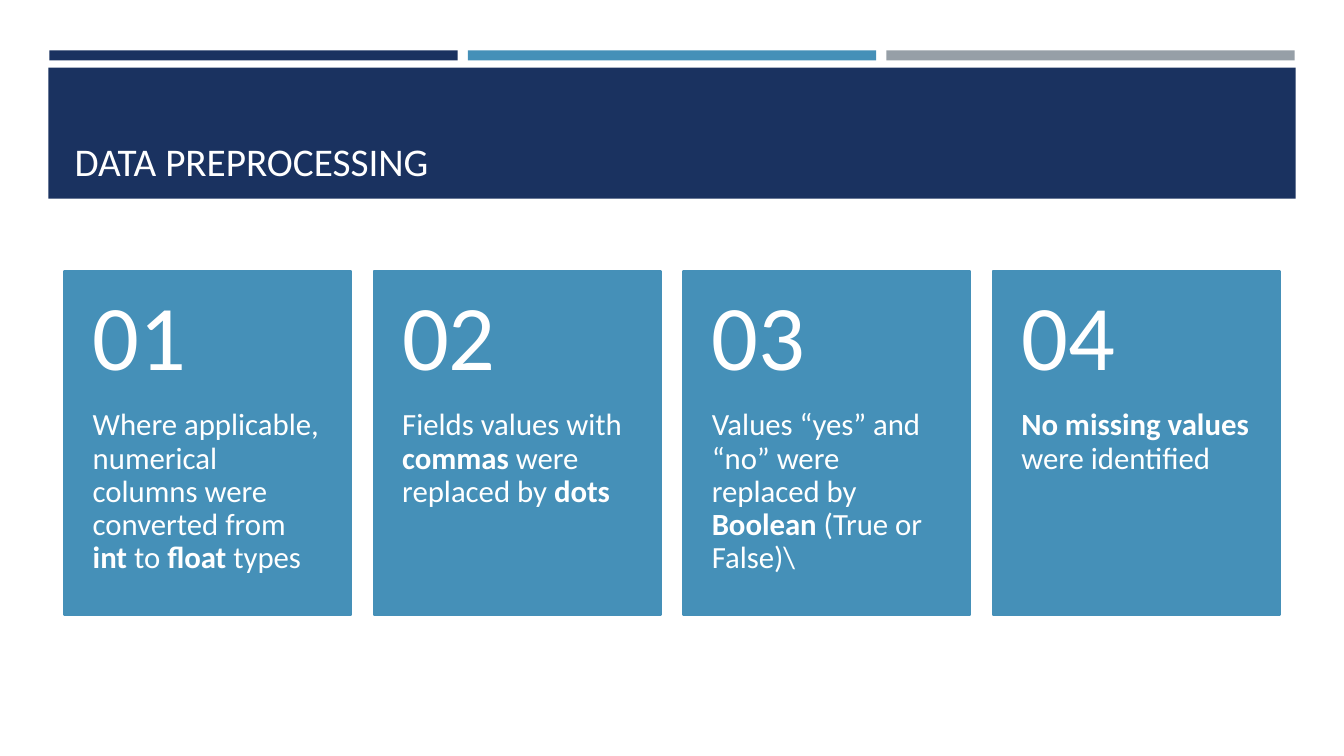
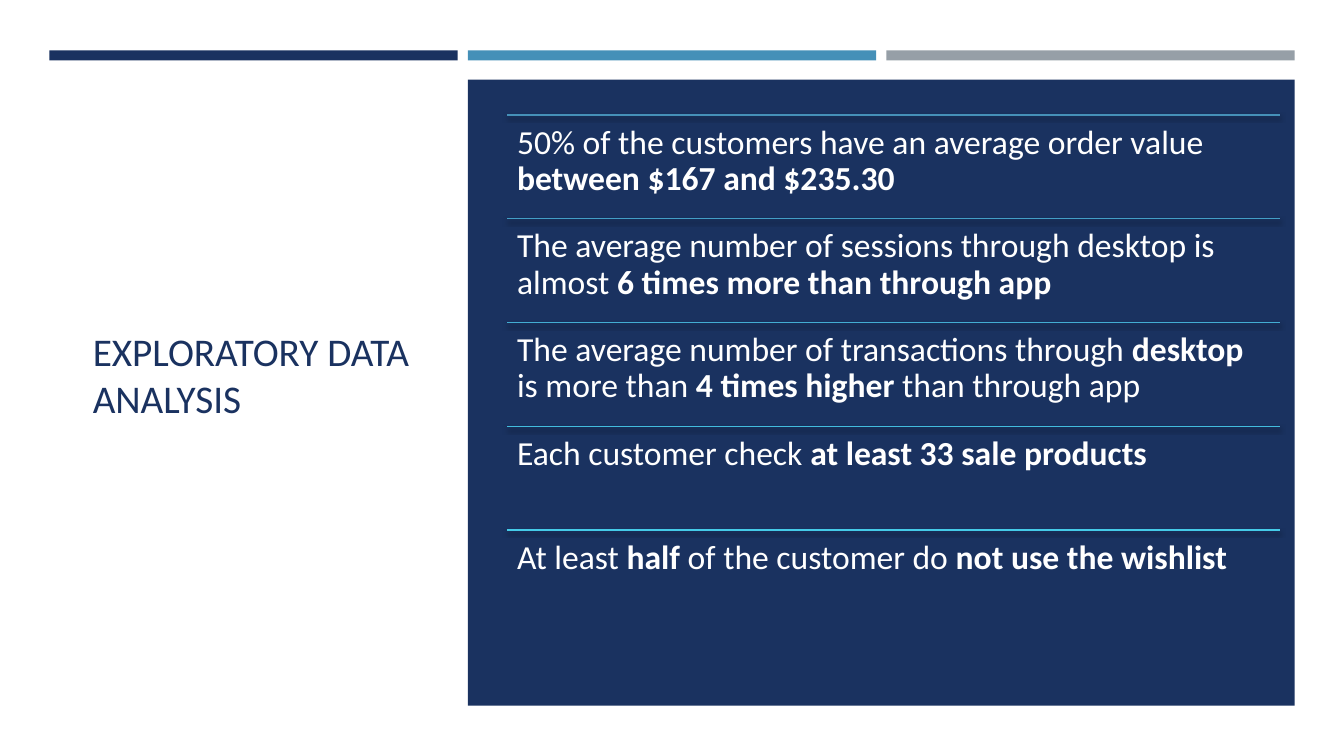
from lxml import etree
from pptx import Presentation
from pptx.dml.color import RGBColor
from pptx.enum.shapes import MSO_CONNECTOR, MSO_SHAPE
from pptx.enum.text import MSO_ANCHOR, MSO_AUTO_SIZE, PP_ALIGN
from pptx.oxml.ns import qn
from pptx.util import Inches, Pt

RECT = MSO_SHAPE.RECTANGLE
STRAIGHT = MSO_CONNECTOR.STRAIGHT
TOP, MIDDLE, BOTTOM = MSO_ANCHOR.TOP, MSO_ANCHOR.MIDDLE, MSO_ANCHOR.BOTTOM
LEFT = PP_ALIGN.LEFT
NO_FIT = MSO_AUTO_SIZE.NONE

WHITE = RGBColor(0xFF, 0xFF, 0xFF)
NAVY = RGBColor(0x1A, 0x32, 0x60)
BLUE = RGBColor(0x45, 0x90, 0xB8)
GRAY = RGBColor(0x96, 0x9F, 0xA7)
RULE_COLORS = (
    BLUE,
    RGBColor(0x43, 0x9E, 0xC6),
    RGBColor(0x43, 0xAD, 0xD2),
    RGBColor(0x43, 0xBC, 0xDE),
    RGBColor(0x45, 0xCB, 0xE8),
)
FONT = "Calibri"
TITLE_ONLY = 5

# Asterisks enclose bold words.
STEPS = (
    "Where applicable, numerical columns were converted from *int* to *float* types",
    "Fields values with *commas* were replaced by *dots*",
    "Values “yes” and “no” were replaced by *Boolean* (True or False)\\",
    "*No missing values *were identified",
)
FINDINGS = (
    "50% of the customers have an average order value *between $167 and $235.30*",
    "The average number of sessions through desktop is almost "
    "*6 times more than through app*",
    "The average number of transactions through *desktop* is more than "
    "*4 times higher *than through app",
    "Each customer check *at least 33 sale products*",
    "At least *half* of the customer do *not use the wishlist*",
)


class Deck:
    def __init__(self):
        self.prs = Presentation()
        self.prs.slide_width = Inches(13.33)
        self.prs.slide_height = Inches(7.5)
        self.s = None

    def slide(self):
        """Start a slide with the three coloured bars along its top."""
        self.s = self.prs.slides.add_slide(self.prs.slide_layouts[TITLE_ONLY])
        for i, color in enumerate((NAVY, BLUE, GRAY)):
            self.rect(0.49 + i * 4.15, 0.5, 4.05, 0.1, color)

    def rect(self, x, y, w, h, color, line_width=None):
        sp = self.s.shapes.add_shape(RECT, Inches(x), Inches(y), Inches(w), Inches(h))
        sp.shadow.inherit = False
        sp.fill.solid()
        sp.fill.fore_color.rgb = color
        if line_width:
            sp.line.color.rgb = color
            sp.line.width = Pt(line_width)
        else:
            sp.line.fill.background()

    def set_text(self, sp, text, size, color, anchor, insets, spacing=None):
        """Fill a shape with one paragraph; insets are left, top, right, bottom."""
        tf = sp.text_frame
        tf.word_wrap = True
        tf.auto_size = NO_FIT
        tf.vertical_anchor = anchor
        (tf.margin_left, tf.margin_top,
         tf.margin_right, tf.margin_bottom) = map(Inches, insets)
        p = tf.paragraphs[0]
        p.alignment = LEFT
        p.line_spacing = spacing
        for i, part in enumerate(text.split("*")):
            if part:
                r = p.add_run()
                r.text = part
                r.font.name = FONT
                r.font.size = Pt(size)
                r.font.bold = i % 2 == 1
                r.font.color.rgb = color

    def title(self, text, x, y, w, h, color, anchor):
        sp = self.s.shapes.title
        sp.left, sp.top, sp.width, sp.height = map(Inches, (x, y, w, h))
        self.set_text(sp, text, 28, color, anchor, (0.1, 0.05, 0.1, 0.05))
        # Bring the title in front of any band behind it.
        sp.element.getparent().append(sp.element)

    def text(self, text, x, y, w, h, size, insets, anchor=TOP):
        sp = self.s.shapes.add_textbox(Inches(x), Inches(y), Inches(w), Inches(h))
        self.set_text(sp, text, size, WHITE, anchor, insets, 0.9)

    def rule(self, x, y, w, color):
        """Draw a thin horizontal line with a soft shadow below it."""
        line = self.s.shapes.add_connector(
            STRAIGHT, Inches(x), Inches(y), Inches(x + w), Inches(y))
        line.line.color.rgb = color
        line.line.width = Pt(1)
        effects = etree.SubElement(line.element.spPr, qn("a:effectLst"))
        shadow = etree.SubElement(
            effects, qn("a:outerShdw"), blurRad=str(Pt(3)), dist=str(Pt(2)),
            dir="5400000", rotWithShape="0")
        black = etree.SubElement(shadow, qn("a:srgbClr"), val="000000")
        etree.SubElement(black, qn("a:alpha"), val="55000")

    def card(self, number, text, x, y):
        w, h, head = 2.84, 3.41, 1.37
        self.rect(x, y, w, h, BLUE, 1.75)
        self.text(text, x, y + head, w, h - head, 22, (0.28, 0, 0.28, 0.36))
        self.text(f"{number:02}", x, y, w, head, 66, (0.28, 0.18, 0.28, 0.18), MIDDLE)

    def finding(self, text, x, y, w, h, color):
        self.rule(x, y, w, color)
        self.text(text, x, y, w, h, 24, (0.1, 0.1, 0.1, 0.1))


def preprocessing(deck):
    deck.slide()
    deck.rect(0.48, 0.67, 12.37, 1.3, NAVY)
    deck.title("DATA PREPROCESSING", 0.64, 0.77, 12.06, 1.11, WHITE, BOTTOM)
    for i, step in enumerate(STEPS):
        deck.card(i + 1, step, 0.64 + i * 3.07, 2.69)


def exploratory_analysis(deck):
    deck.slide()
    deck.title("EXPLORATORY DATA ANALYSIS", 0.82, 1.14, 3.34, 5.15, NAVY, MIDDLE)
    deck.rect(4.64, 0.79, 8.2, 6.21, NAVY)
    row_height = 1.03
    for i, (finding, color) in enumerate(zip(FINDINGS, RULE_COLORS)):
        deck.finding(finding, 5.03, 1.14 + i * row_height, 7.67, row_height, color)


def main():
    deck = Deck()
    preprocessing(deck)
    exploratory_analysis(deck)
    deck.prs.save("out.pptx")


if __name__ == "__main__":
    main()
